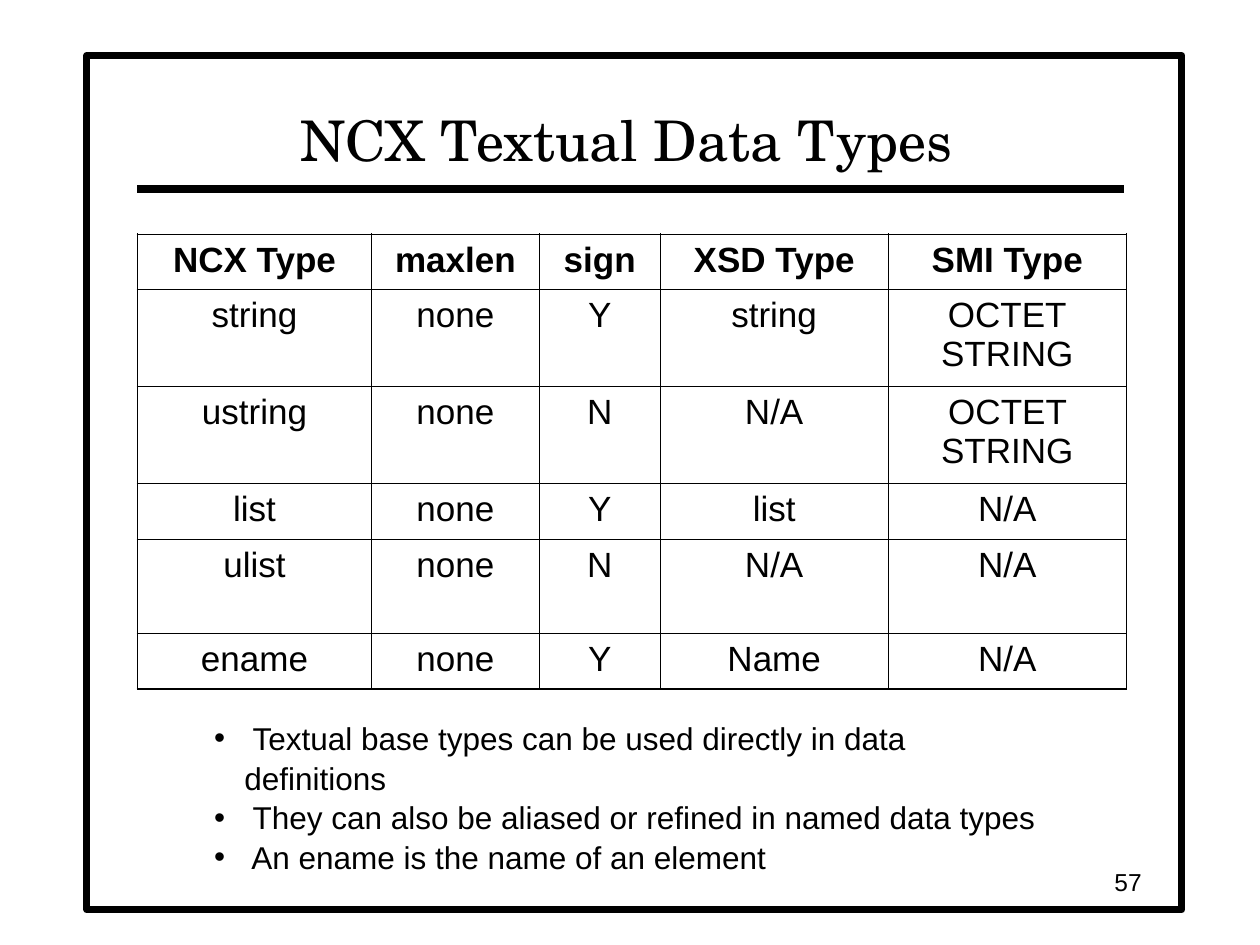
from dataclasses import dataclass

from lxml.etree import SubElement
from pptx import Presentation
from pptx.dml.color import RGBColor
from pptx.enum.shapes import MSO_CONNECTOR, MSO_SHAPE
from pptx.enum.text import MSO_ANCHOR, MSO_AUTO_SIZE, PP_ALIGN
from pptx.oxml.ns import qn
from pptx.slide import Slide
from pptx.util import Inches, Pt


@dataclass(frozen=True)
class Theme:
    ink: RGBColor = RGBColor(0, 0, 0)
    paper: RGBColor = RGBColor(255, 255, 255)
    title_font: str = "TeX Gyre Schola"
    body_font: str = "Arial"
    title_size: float = 32
    table_size: float = 20
    bullet_size: float = 18
    number_size: float = 14
    frame_line: float = 4
    rule_line: float = 4.5
    outer_border: float = 1.08
    inner_border: float = 0.45


@dataclass(frozen=True)
class Box:
    left: float
    top: float
    width: float
    height: float

    def lengths(self) -> tuple:
        return tuple(Inches(v) for v in (self.left, self.top, self.width, self.height))


@dataclass(frozen=True)
class TypeRow:
    ncx_type: str
    maxlen: str
    sign: str
    xsd_type: str
    smi_type: str
    height: float

    def texts(self) -> tuple:
        return self.ncx_type, self.maxlen, self.sign, self.xsd_type, self.smi_type


THEME = Theme()
COLUMN_WIDTHS = (1.86, 1.33, 0.96, 1.81, 1.89)
TYPE_ROWS = (
    TypeRow("NCX Type", "maxlen", "sign", "XSD Type", "SMI Type", 0.44),
    TypeRow("string", "none", "Y", "string", "OCTET\vSTRING", 0.77),
    TypeRow("ustring", "none", "N", "N/A", "OCTET STRING", 0.77),
    TypeRow("list", "none", "Y", "list", "N/A", 0.44),
    TypeRow("ulist", "none", "N", "N/A", "N/A", 0.75),
    TypeRow("ename", "none", "Y", "Name", "N/A", 0.44),
)
BULLETS = (
    " Textual base types can be used directly in data definitions",
    " They can also be aliased or refined in named data types",
    " An ename is the name of an element",
)


def format_paragraph(paragraph, size: float, font: str = THEME.body_font,
                     align=PP_ALIGN.LEFT, bold: bool = False) -> None:
    paragraph.alignment = align
    for run in paragraph.runs:
        run.font.name = font
        run.font.size = Pt(size)
        run.font.bold = bold
        run.font.color.rgb = THEME.ink


def place(shape, box: Box, anchor) -> None:
    shape.left, shape.top, shape.width, shape.height = box.lengths()
    text_frame = shape.text_frame
    text_frame.word_wrap = True
    text_frame.auto_size = MSO_AUTO_SIZE.NONE
    text_frame.vertical_anchor = anchor


def add_frame(slide: Slide) -> None:
    frame = slide.shapes.add_shape(MSO_SHAPE.RECTANGLE, *Box(0.69, 0.44, 8.69, 6.78).lengths())
    frame.shadow.inherit = False
    frame.fill.solid()
    frame.fill.fore_color.rgb = THEME.paper
    frame.line.color.rgb = THEME.ink
    frame.line.width = Pt(THEME.frame_line)
    rule = slide.shapes.add_connector(
        MSO_CONNECTOR.STRAIGHT, Inches(1.09), Inches(1.5), Inches(8.92), Inches(1.5))
    rule.line.color.rgb = THEME.ink
    rule.line.width = Pt(THEME.rule_line)
    SubElement(rule._element.spPr, qn("a:effectLst"))
    for position, shape in enumerate((frame, rule), start=2):
        slide.shapes._spTree.insert(position, shape._element)


def add_title(slide: Slide) -> None:
    title = slide.shapes.title
    place(title, Box(1.08, 0.5, 7.79, 0.92), MSO_ANCHOR.BOTTOM)
    title.text_frame.text = "NCX Textual Data Types"
    format_paragraph(title.text_frame.paragraphs[0], THEME.title_size,
                     THEME.title_font, PP_ALIGN.CENTER)


def set_borders(cell, outer_sides: dict[str, bool]) -> None:
    properties = cell._tc.get_or_add_tcPr()
    for side, is_outer in outer_sides.items():
        width = THEME.outer_border if is_outer else THEME.inner_border
        line = SubElement(properties, qn(f"a:{side}"), w=str(Pt(width)))
        fill = SubElement(line, qn("a:solidFill"))
        SubElement(fill, qn("a:srgbClr"), val=str(THEME.ink))


def add_type_table(slide: Slide) -> None:
    box = Box(1.09, 1.86, sum(COLUMN_WIDTHS), sum(row.height for row in TYPE_ROWS))
    table = slide.shapes.add_table(len(TYPE_ROWS), len(COLUMN_WIDTHS), *box.lengths()).table
    table.horz_banding = False
    for column, width in zip(table.columns, COLUMN_WIDTHS):
        column.width = Inches(width)
    last_row, last_column = len(TYPE_ROWS) - 1, len(COLUMN_WIDTHS) - 1
    for r, type_row in enumerate(TYPE_ROWS):
        table.rows[r].height = Inches(type_row.height)
        for c, text in enumerate(type_row.texts()):
            cell = table.cell(r, c)
            paragraph = cell.text_frame.paragraphs[0]
            paragraph.text = text
            format_paragraph(paragraph, THEME.table_size, align=PP_ALIGN.CENTER, bold=r == 0)
            set_borders(cell, {"lnL": c == 0, "lnR": c == last_column,
                               "lnT": r == 0, "lnB": r == last_row})
            cell.fill.background()


def add_bullets(slide: Slide) -> None:
    body = slide.placeholders[1]
    place(body, Box(1.6, 5.64, 6.76, 1.3), MSO_ANCHOR.TOP)
    text_frame = body.text_frame
    text_frame.text = "\n".join(BULLETS)
    for paragraph in text_frame.paragraphs:
        properties = paragraph._p.get_or_add_pPr()
        properties.set("marL", str(Inches(0.24)))
        properties.set("indent", str(Inches(-0.24)))
        color = SubElement(properties, qn("a:buClr"))
        SubElement(color, qn("a:srgbClr"), val=str(THEME.ink))
        SubElement(properties, qn("a:buFont"), typeface=THEME.body_font)
        SubElement(properties, qn("a:buChar"), char="•")
        paragraph.space_before = Pt(0)
        paragraph.line_spacing = 1.05
        format_paragraph(paragraph, THEME.bullet_size)


def add_slide_number(slide: Slide) -> None:
    box = Box(7.08, 6.83, 2.08, 0.33)
    number = slide.shapes.add_textbox(*box.lengths())
    place(number, box, MSO_ANCHOR.MIDDLE)
    number.text_frame.text = "57"
    format_paragraph(number.text_frame.paragraphs[0], THEME.number_size, align=PP_ALIGN.RIGHT)


def main() -> None:
    presentation = Presentation()
    presentation.slide_width = Inches(10)
    presentation.slide_height = Inches(7.5)
    slide = presentation.slides.add_slide(presentation.slide_layouts[1])
    add_frame(slide)
    add_title(slide)
    add_type_table(slide)
    add_bullets(slide)
    add_slide_number(slide)
    presentation.save("out.pptx")


if __name__ == "__main__":
    main()
